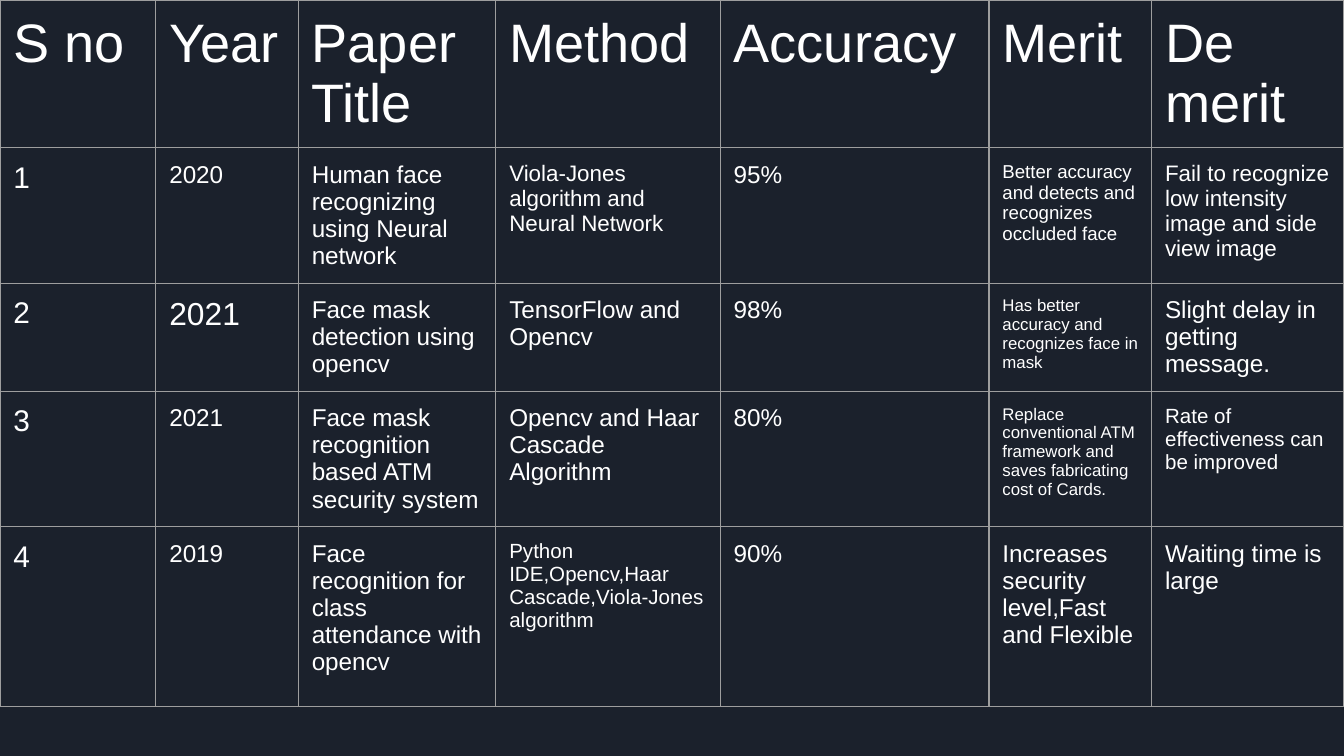
from typing import NamedTuple

from lxml.etree import SubElement as Sub
from pptx import Presentation
from pptx.dml.color import RGBColor as Rgb
from pptx.oxml.ns import qn
from pptx.util import Inches, Pt

COLS = (1.16, 1.06, 1.47, 1.67, 2, 1.21, 1.43)
ROWS = (0.77,) * 4 + (1.34,)  # rows grow to fit their text
HEADS = ("S no", "Year", "Paper Title", "Method", "Accuracy", "Merit", "De merit")
GRID = "9E9E9E"


class Paper(NamedTuple):
    texts: tuple[str, ...]
    sizes: tuple[int, ...]


PAPERS = (
    Paper(("1", "2020", "Human face recognizing using Neural network",
           "Viola-Jones algorithm and Neural Network", "95%",
           "Better accuracy and detects and recognizes occluded face",
           "Fail to recognize low intensity image and side view image"),
          (16, 13, 13, 12, 13, 10, 12)),
    Paper(("2", "2021", "Face mask detection using opencv",
           "TensorFlow and Opencv", "98%",
           "Has better accuracy and recognizes face in mask",
           "Slight delay in getting message."),
          (16, 17, 13, 13, 13, 9, 13)),
    Paper(("3", "2021", "Face mask recognition based ATM security system",
           "Opencv and Haar Cascade Algorithm", "80%",
           "Replace conventional ATM framework and saves fabricating cost of Cards.",
           "Rate of effectiveness can be improved"),
          (16, 13, 13, 13, 13, 9, 11)),
    Paper(("4", "2019", "Face recognition for class attendance with opencv",
           "Python IDE,Opencv,Haar Cascade,Viola-Jones algorithm", "90%",
           "Increases security level,Fast and Flexible",
           "Waiting time is large"),
          (16, 13, 13, 11, 13, 13, 13)),
)


def paint(color, code: str) -> None:
    color.rgb = Rgb.from_string(code)


def rule(cell) -> None:
    """Draw a thin line on all four sides of the cell."""
    props = cell._tc.get_or_add_tcPr()
    for side in ("lnL", "lnR", "lnT", "lnB"):
        line = Sub(props, qn(f"a:{side}"), w=str(Pt(0.75)))
        fill = Sub(line, qn("a:solidFill"))
        Sub(fill, qn("a:srgbClr"), val=GRID)


def write(cell, text: str, size: int) -> None:
    cell.margin_left = cell.margin_right = Inches(0.1)
    cell.margin_top = cell.margin_bottom = Inches(0.1)
    rule(cell)
    cell.fill.background()
    cell.text_frame.text = text
    font = cell.text_frame.paragraphs[0].runs[0].font
    font.name, font.size, font.bold = "Arial", Pt(size), False
    paint(font.color, "FFFFFF")


def main() -> None:
    deck = Presentation()
    deck.slide_width = Inches(10)
    deck.slide_height = Inches(10) * 9 // 16
    slide = deck.slides.add_slide(deck.slide_layouts[6])
    back = slide.background.fill
    back.solid()
    paint(back.fore_color, "1B212C")

    table = slide.shapes.add_table(
        len(ROWS), len(COLS), Inches(0), Inches(0),
        Inches(sum(COLS)), Inches(sum(ROWS))).table
    table.first_row = table.horz_banding = False
    for col, width in zip(table.columns, COLS):
        col.width = Inches(width)
    for row, height in zip(table.rows, ROWS):
        row.height = Inches(height)

    head = Paper(HEADS, (29,) * len(HEADS))
    for row, paper in zip(table.rows, (head, *PAPERS)):
        for cell, text, size in zip(row.cells, paper.texts, paper.sizes):
            write(cell, text, size)
    deck.save("out.pptx")


if __name__ == "__main__":
    main()
